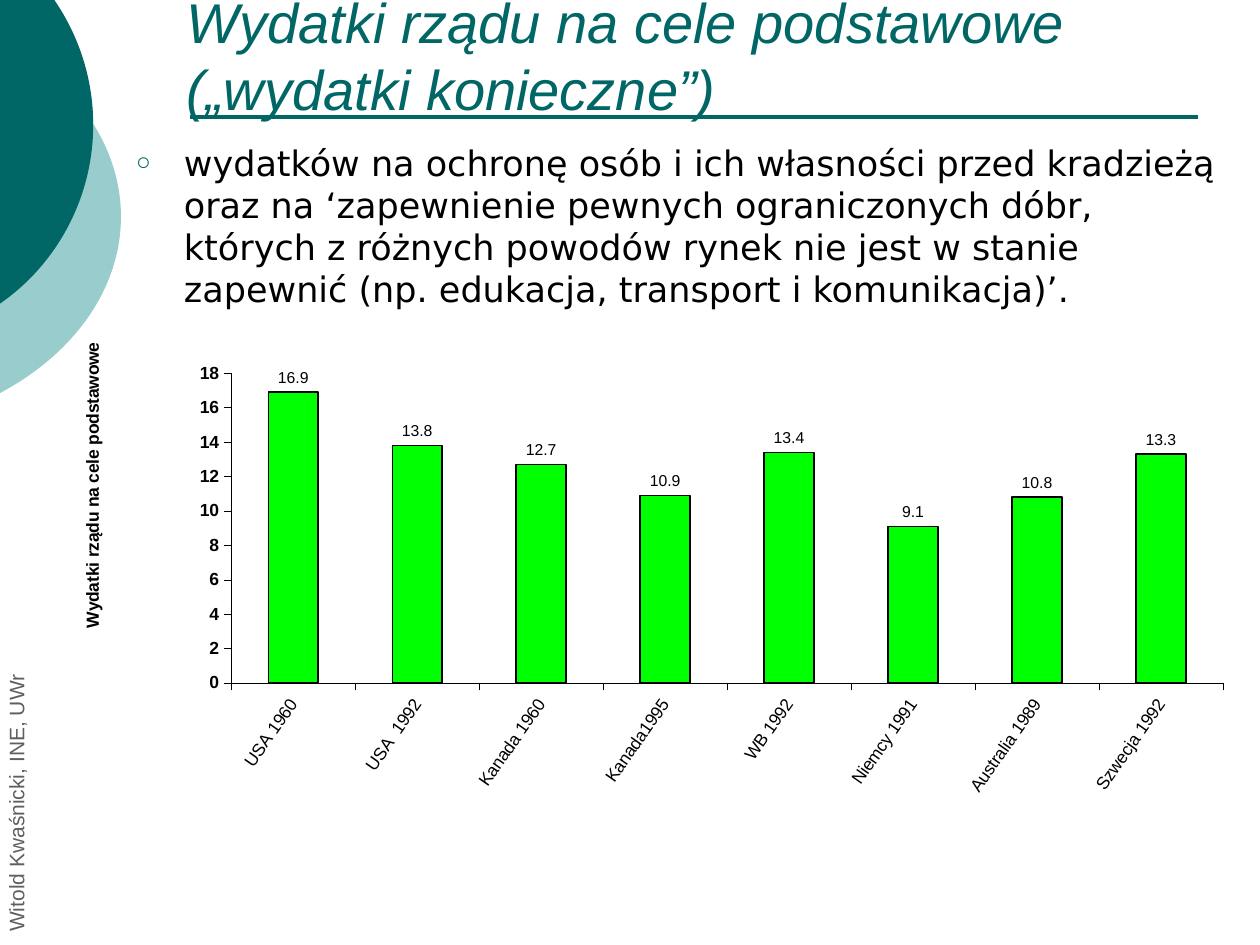
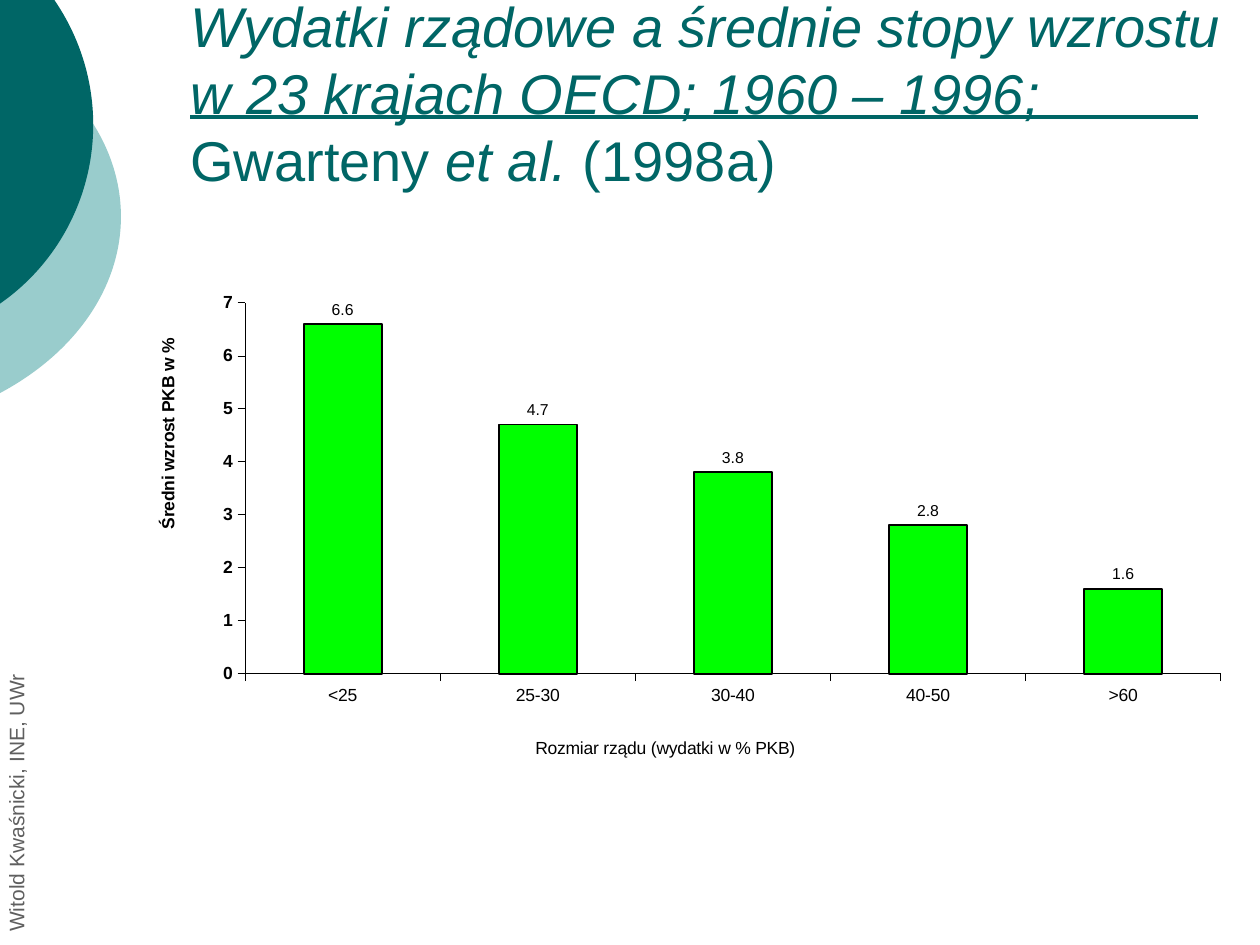
from lxml.etree import SubElement
from pptx import Presentation
from pptx.chart.data import CategoryChartData
from pptx.dml.color import RGBColor
from pptx.enum.chart import XL_CHART_TYPE as ChartType
from pptx.enum.chart import XL_LABEL_POSITION as LabelPosition
from pptx.enum.chart import XL_TICK_MARK as TickMark
from pptx.enum.shapes import MSO_CONNECTOR as Connector
from pptx.enum.text import MSO_ANCHOR as Anchor
from pptx.enum.text import MSO_AUTO_SIZE as AutoSize
from pptx.enum.text import PP_ALIGN as Align
from pptx.oxml import parse_xml
from pptx.oxml.ns import nsdecls, qn
from pptx.util import Inches, Pt

TEAL = RGBColor(0x00, 0x66, 0x66)
PALE_TEAL = RGBColor(0x99, 0xCC, 0xCC)
GREY = RGBColor(0x5F, 0x5F, 0x5F)
BLACK = RGBColor(0x00, 0x00, 0x00)
GREEN = RGBColor(0x00, 0xFF, 0x00)

COLUMNS, ROWS = 100, 75
TITLE_ONLY, TITLE_AND_BODY = 5, 1

# A start point, then two Bézier curves, in columns and rows.
PALE_ARC = [(0, 3.2), (6, 6.4), (9.6, 11.6), (9.6, 17.2),
            (9.6, 22.8), (6, 28), (0, 31.2)]
DARK_ARC = [(0, -4.4), (4.6, -1.1), (7.4, 4.2), (7.4, 9.9),
            (7.4, 15.6), (4.6, 20.9), (0, 24.1)]


def style_font(font, size=10, color=BLACK, bold=False, italic=False, face="Arial"):
    font.name, font.size = face, Pt(size)
    font.bold, font.italic = bold, italic
    font.color.rgb = color


def write(paragraph, text, **style):
    run = paragraph.add_run()
    run.text = text
    style_font(run.font, **style)


def set_layout(parent, position, **settings):
    """Fix a chart part at shares of the chart's size."""
    for old in parent.findall(qn("c:layout")):
        parent.remove(old)
    layout = parse_xml(f"<c:layout {nsdecls('c')}><c:manualLayout/></c:layout>")
    settings |= {"xMode": "edge", "yMode": "edge"}
    settings |= dict(zip("xywh", position))
    for tag, value in settings.items():
        SubElement(layout[0], qn(f"c:{tag}")).set("val", str(value))
    parent.insert(1 if parent.tag == qn("c:title") else 0, layout)


class Deck:
    def __init__(self):
        self.prs = Presentation()
        self.prs.slide_width, self.prs.slide_height = Inches(10), Inches(7.5)
        self.slide = None

    def x(self, columns):
        return round(self.prs.slide_width * columns / COLUMNS)

    def y(self, rows):
        return round(self.prs.slide_height * rows / ROWS)

    def box(self, left, top, width, height):
        return self.x(left), self.y(top), self.x(width), self.y(height)

    def new_slide(self, layout):
        self.slide = self.prs.slides.add_slide(self.prs.slide_layouts[layout])
        self.arc((-35.4, 0.1, 45, 34.2), PALE_ARC, PALE_TEAL)
        self.arc((-26.5, -7.4, 33.8, 34.5), DARK_ARC, TEAL)
        self.rule(15.1, 95.1, 9.3)
        self.author("Witold Kwaśnicki, INE, UWr")

    def arc(self, frame, points, color):
        """Draw the part of a disc, whose full frame is given, that lies on the slide."""
        left, top, width, height = self.box(*frame)
        right, bottom = left + width, top + height
        builder = self.slide.shapes.build_freeform(left, top, scale=1.0)
        builder.add_line_segments([(right, top), (right, bottom), (left, bottom)])
        disc = builder.convert_to_shape()

        outline = disc.element.xpath(".//a:path")[0]
        for segment in list(outline):
            outline.remove(segment)
        for tag, part in (("moveTo", points[:1]), ("cubicBezTo", points[1:4]),
                          ("cubicBezTo", points[4:])):
            segment = SubElement(outline, qn(f"a:{tag}"))
            for column, row in part:
                point = SubElement(segment, qn("a:pt"))
                point.set("x", str(self.x(column) - left))
                point.set("y", str(self.y(row) - top))
        SubElement(outline, qn("a:close"))

        disc.shadow.inherit = False
        disc.fill.solid()
        disc.fill.fore_color.rgb = color
        disc.line.fill.background()

    def rule(self, start, end, row):
        line = self.slide.shapes.add_connector(
            Connector.STRAIGHT, self.x(start), self.y(row), self.x(end), self.y(row))
        line.line.color.rgb, line.line.width = TEAL, Pt(2.25)
        SubElement(line.element.spPr, qn("a:effectLst"))

    def author(self, name):
        side_note = self.slide.shapes.add_textbox(*self.box(-19.4, 52.8, 42.1, 2.2))
        side_note.rotation = 270
        frame = side_note.text_frame
        frame.word_wrap, frame.vertical_anchor = True, Anchor.BOTTOM
        write(frame.paragraphs[0], name, size=12, color=GREY)

    def place(self, placeholder, box, anchor):
        """Set a placeholder's box and return its left-aligned paragraph."""
        placeholder.left, placeholder.top, placeholder.width, placeholder.height = self.box(*box)
        frame = placeholder.text_frame
        frame.auto_size, frame.word_wrap = AutoSize.NONE, True
        frame.vertical_anchor = anchor
        paragraph = frame.paragraphs[0]
        paragraph.alignment, paragraph.line_spacing = Align.LEFT, 1.0
        paragraph.space_before = Pt(0)
        return paragraph

    def title(self, left, top, *parts):
        """Write the title; every second part is upright, the others italic."""
        heading = self.place(self.slide.shapes.title, (left, top, 84.5, 6.6), Anchor.BOTTOM)
        for index, part in enumerate(parts):
            write(heading, part, size=32, color=TEAL, italic=index % 2 == 0)

    def bullet(self, text):
        item = self.place(self.slide.placeholders[1], (9.8, 10.7, 88.2, 62.2), Anchor.TOP)
        write(item, text, size=20, face="DejaVu Sans")
        properties = item._p.get_or_add_pPr()
        properties.set("marL", str(Inches(0.38)))
        properties.set("indent", str(-Inches(0.38)))
        color = SubElement(properties, qn("a:buClr"))
        SubElement(color, qn("a:srgbClr")).set("val", str(TEAL))
        SubElement(properties, qn("a:buSzPct")).set("val", "70000")
        SubElement(properties, qn("a:buFont")).set("typeface", "Arial")
        SubElement(properties, qn("a:buChar")).set("char", "○")

    def columns(self, box, plot, values, top_value, step, value_title, value_title_at,
                category_title=None, category_title_at=None, label_angle=0):
        data = CategoryChartData(number_format="General")
        data.categories = list(values)
        data.add_series("Series 1", list(values.values()))
        chart = self.slide.shapes.add_chart(
            ChartType.COLUMN_CLUSTERED, *self.box(*box), data).chart
        chart.has_legend = chart.has_title = False
        style_font(chart.font, size=12, bold=True)

        bars = chart.plots[0]
        bars.gap_width, bars.vary_by_categories = 150, False
        series = bars.series[0]
        series.format.fill.solid()
        series.format.fill.fore_color.rgb = GREEN
        series.format.line.color.rgb, series.format.line.width = BLACK, Pt(1)
        labels = series.data_labels
        labels.show_value, labels.position = True, LabelPosition.OUTSIDE_END
        style_font(labels.font, size=9)

        chart.value_axis.minimum_scale, chart.value_axis.maximum_scale = 0, top_value
        chart.value_axis.major_unit = step
        self.axis(chart.value_axis, value_title, bold=True)
        self.axis(chart.category_axis, category_title, bold=False)

        find = chart.element.xpath
        set_layout(find(".//c:plotArea")[0], plot, layoutTarget="inner")
        set_layout(find(".//c:valAx/c:title")[0], value_title_at)
        find(".//c:valAx/c:title//a:bodyPr")[0].set("rot", "-5400000")
        if category_title:
            set_layout(find(".//c:catAx/c:title")[0], category_title_at)
        find(".//c:catAx/c:txPr/a:bodyPr")[0].set("rot", str(label_angle * 60000))

    def axis(self, axis, title, bold):
        axis.has_major_gridlines = False
        axis.major_tick_mark, axis.minor_tick_mark = TickMark.OUTSIDE, TickMark.NONE
        axis.format.line.color.rgb, axis.format.line.width = BLACK, Pt(0.25)
        style_font(axis.tick_labels.font, bold=bold)
        axis.has_title = bool(title)
        if title:
            write(axis.axis_title.text_frame.paragraphs[0], title, bold=bold)


def main():
    deck = Deck()

    deck.new_slide(TITLE_AND_BODY)
    deck.title(13.8, 3.6, "Wydatki rządu na cele podstawowe („wydatki konieczne”)")
    deck.bullet(
        "wydatków na ochronę osób i ich własności przed kradzieżą oraz na "
        "‘zapewnienie pewnych ograniczonych dóbr, których z różnych powodów rynek "
        "nie jest w stanie zapewnić (np. edukacja, transport i komunikacja)’.")
    deck.columns(
        box=(4.3, 26.5, 93.7, 44.7), plot=(0.15, 0.07, 0.84, 0.55),
        values={"USA 1960": 16.9, "USA  1992": 13.8, "Kanada 1960": 12.7,
                "Kanada1995": 10.9, "WB 1992": 13.4, "Niemcy 1991": 9.1,
                "Australia 1989": 10.8, "Szwecja 1992": 13.3},
        top_value=18, step=2, label_angle=-55,
        value_title="Wydatki rządu na cele podstawowe", value_title_at=(0.02, 0.01))

    deck.new_slide(TITLE_ONLY)
    deck.title(
        14.1, 9.2,
        "Wydatki rządowe a średnie stopy wzrostu w 23 krajach OECD; 1960 – 1996; ",
        "Gwarteny ", "et al.", " (1998a)")
    deck.columns(
        box=(6.7, 21, 91.1, 43.3), plot=(0.14, 0.07, 0.85, 0.68),
        values={"<25": 6.6, "25-30": 4.7, "30-40": 3.8, "40-50": 2.8, ">60": 1.6},
        top_value=7, step=1,
        value_title="Średni wzrost PKB w %", value_title_at=(0.06, 0.13),
        category_title="Rozmiar rządu (wydatki w % PKB)", category_title_at=(0.39, 0.86))

    deck.prs.save("out.pptx")


if __name__ == "__main__":
    main()
